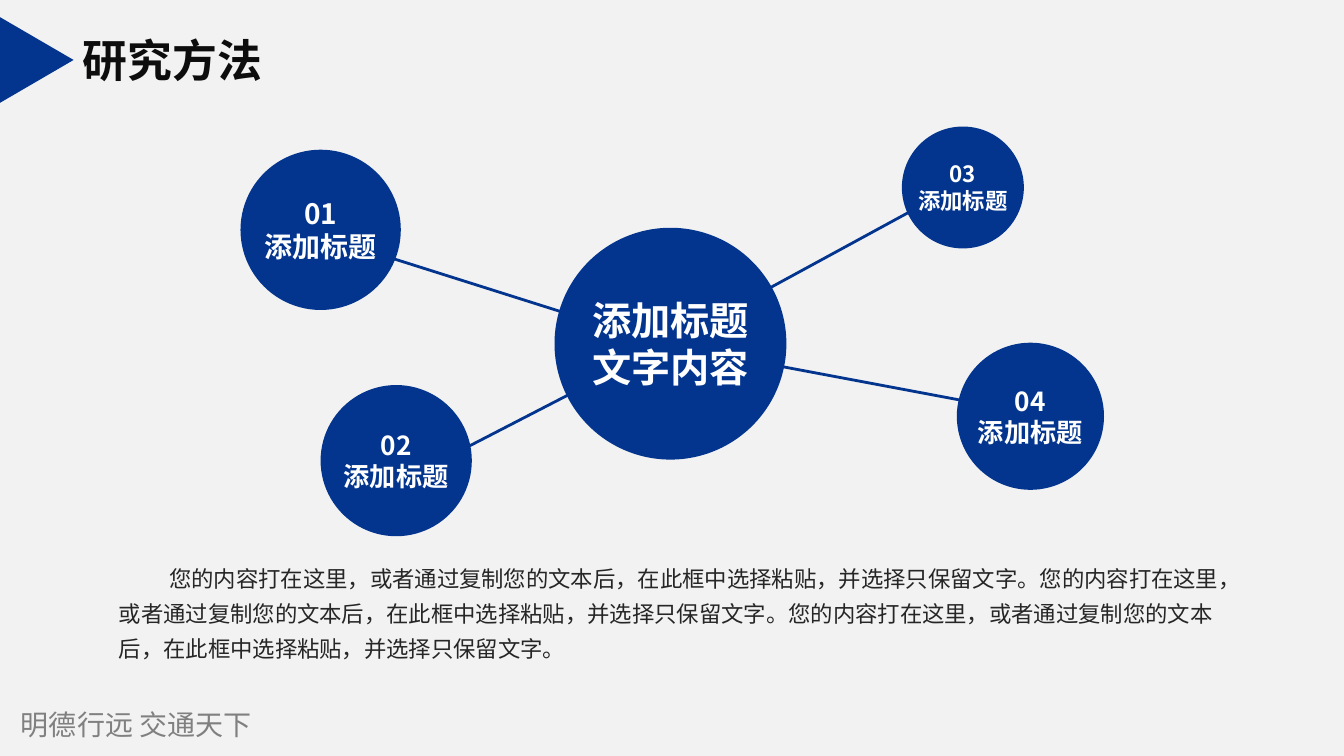
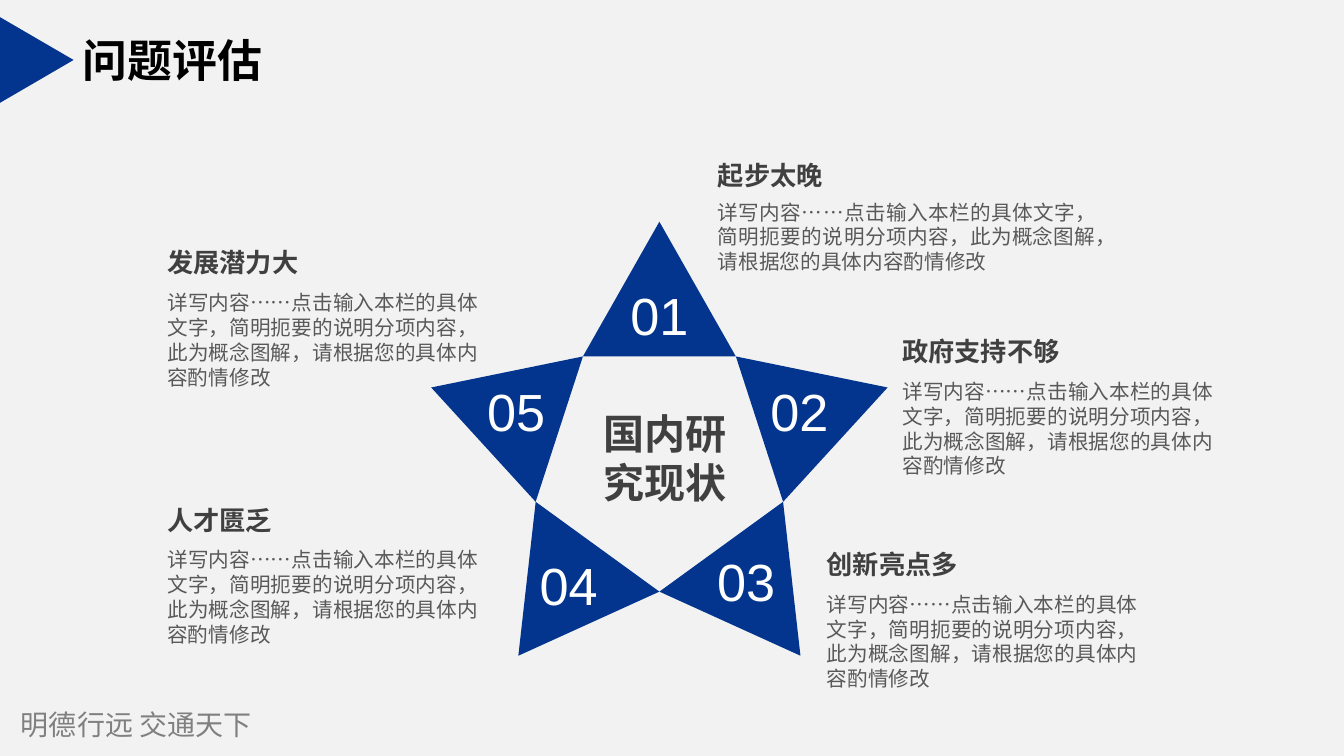
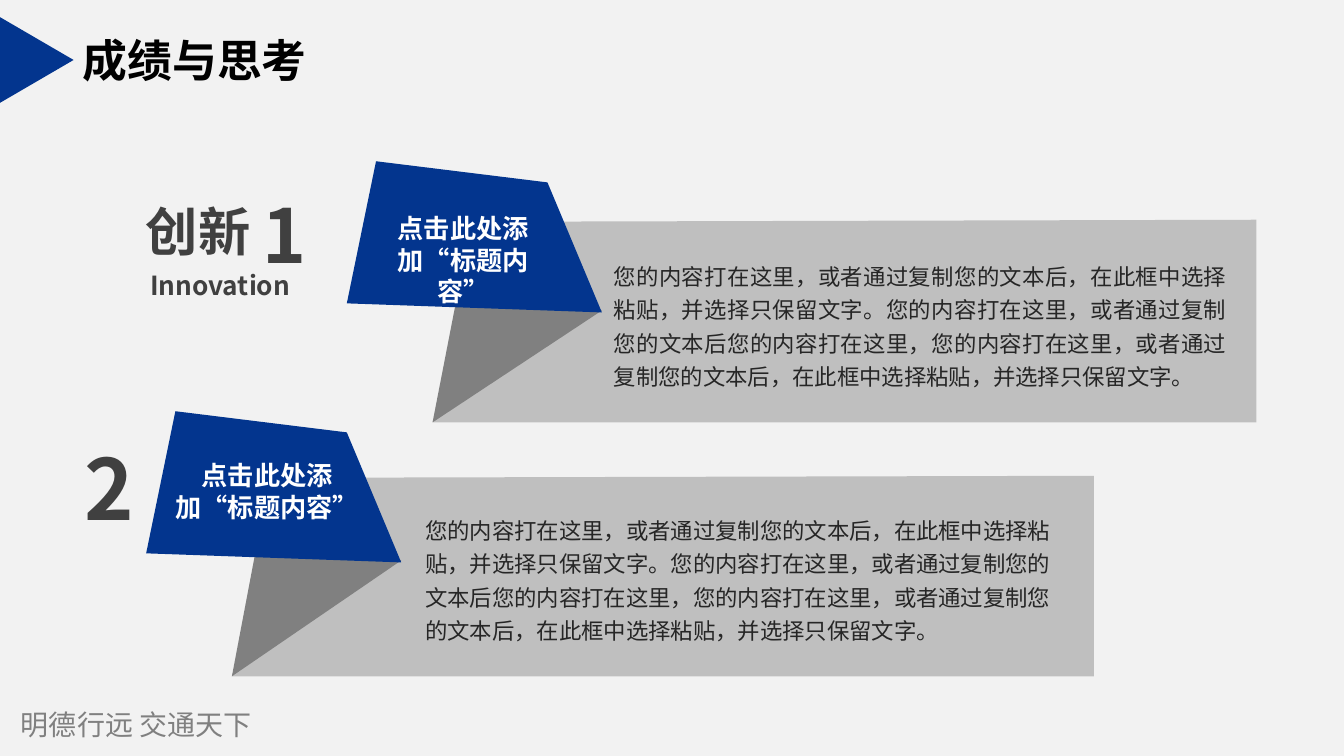
"""Build three research slides: methods, problem review, results."""
import math
from dataclasses import dataclass

import pptx
import pptx.dml.color
import pptx.enum.lang
import pptx.enum.shapes
import pptx.enum.text
import pptx.oxml.ns
import pptx.util
from lxml import etree

Inches = pptx.util.Inches
ALIGN = pptx.enum.text.PP_ALIGN
ANCHOR = pptx.enum.text.MSO_ANCHOR
SHAPE = pptx.enum.shapes.MSO_SHAPE


@dataclass(frozen=True)
class Theme:
    paper: str = "F2F2F2"
    blue: str = "03358E"
    white: str = "FFFFFF"
    black: str = "000000"
    near_black: str = "0D0D0D"
    body_ink: str = "262626"
    heading_ink: str = "404040"
    note_ink: str = "595959"
    gray: str = "808080"
    silver: str = "BFBFBF"
    font: str = "Noto Sans CJK SC"
    footer_font: str = "Noto Sans CJK JP"
    latin_font: str = "Arial"
    title: float = 32
    footer: float = 20
    body: float = 16
    note: float = 14.7
    heading: float = 18.7
    hub: float = 28
    star_center: float = 29.3
    large: float = 37.3


THEME = Theme()

FOOTER = "明德行远 交通天下"
SENTENCE = "您的内容打在这里，或者通过复制您的文本后，在此框中选择粘贴，并选择只保留文字。"

HUB = dict(center=(6.65, 3.41), size=2.3, text="添加标题\n文字内容", points=THEME.hub)
HUB_JOINT = (6.6, 3.42)
SATELLITES = [
    dict(number="01", center=(3.18, 2.28), size=1.59, points=20, joint=(3.66, 2.49)),
    dict(number="02", center=(3.93, 4.57), size=1.5, points=18.7, joint=(4.49, 4.51)),
    dict(number="03", center=(9.55, 1.86), size=1.21, points=16, joint=(9.32, 1.94)),
    dict(number="04", center=(10.22, 4.13), size=1.46, points=18.7, joint=(10.22, 4.1)),
]

STAR_CENTER = (6.54, 4.58)
TIP_RADIUS, NOTCH_RADIUS = 2.38, 1.29
STAR_TEXT = "国内研究现状"
NOTE = "详写内容……点击输入本栏的具体文字，简明扼要的说明分项内容，此为概念图解，请根据您的具体内容酌情修改"
REVIEW = [
    dict(heading="起步太晚", number_at=(6.54, 3.12), left=7.12, top=1.58, note_top=1.98, width=3.75),
    dict(heading="政府支持不够", number_at=(7.93, 4.07), left=8.95, top=3.33, note_top=3.76, width=3.08),
    dict(heading="创新亮点多", number_at=(7.4, 5.76), left=8.2, top=5.44, note_top=5.87, width=3.08),
    dict(heading="人才匮乏", number_at=(5.64, 5.8), left=1.66, top=5, note_top=5.43, width=3.08),
    dict(heading="发展潜力大", number_at=(5.12, 4.07), left=1.66, top=2.44, note_top=2.88, width=3.08),
]

BANNER_TITLE = "点击此处添加“标题内容”"
BANNER_TEXT = (
    "您的内容打在这里，或者通过复制您的文本后，在此框中选择粘贴，并选择只保留文字。"
    "您的内容打在这里，或者通过复制您的文本后您的内容打在这里，您的内容打在这里，"
    "或者通过复制您的文本后，在此框中选择粘贴，并选择只保留文字。"
)
RIBBON = [(0.29, 0), (1.99, 0.21), (2.53, 1.5), (0, 1.41)]
FOLD_TOP = [(2.53, 1.48), (1.14, 1.1)]
FOLD_FOOT, PANEL_HEAD = 0.85, 1.49
BANNERS = [
    dict(origin=(3.44, 1.6), top=2.18, right=12.46, bottom=4.19,
         title_box=(3.63, 2.06, 1.93, 0.73), text_box=(5.99, 2.49, 6.28, 1.42), align=ALIGN.JUSTIFY),
    dict(origin=(1.45, 4.08), top=4.72, right=10.85, bottom=6.71,
         title_box=(1.63, 4.51, 2.04, 0.73), text_box=(4.12, 5.01, 6.43, 1.42), align=ALIGN.LEFT),
]
BANNER_LABELS = [
    ("Innovation", (1.39, 2.62, 1.8, 0.42), THEME.heading),
    ("创新", (1.35, 1.93, 1.4, 0.73), THEME.large),
    ("1", (2.51, 1.83, 0.66, 1), 53.3),
    ("2", (0.74, 4.28, 0.72, 1.11), 60),
]


def rgb(color):
    return pptx.dml.color.RGBColor.from_string(color)


def write(shape, text, size, color, bold=False, align=ALIGN.LEFT, font=THEME.font,
          asian=THEME.font, spacing=None, inset=None, anchor=ANCHOR.TOP, wrap=True, indent=0):
    frame = shape.text_frame
    frame.text = text
    frame.word_wrap = wrap
    frame.auto_size = pptx.enum.text.MSO_AUTO_SIZE.NONE
    frame.vertical_anchor = anchor
    if inset is not None:
        frame.margin_left = frame.margin_right = Inches(inset[0])
        frame.margin_top = frame.margin_bottom = Inches(inset[1])
    for para in frame.paragraphs:
        para.alignment = align
        if spacing:
            para.line_spacing = spacing
        if indent:
            para._p.get_or_add_pPr().set("indent", str(Inches(indent)))
        for span in para.runs:
            span.font.name = font
            span.font.size = pptx.util.Pt(size)
            span.font.bold = bold
            span.font.color.rgb = rgb(color)
            span.font.language_id = pptx.enum.lang.MSO_LANGUAGE_ID.SIMPLIFIED_CHINESE
            east = etree.SubElement(span._r.get_or_add_rPr(), pptx.oxml.ns.qn("a:ea"))
            east.set("typeface", asian)


def add_text(page, place, text, size, color, **style):
    box = page.shapes.add_textbox(*map(Inches, place))
    write(box, text, size, color, **style)
    return box


def paint(shape, color):
    shape.fill.solid()
    shape.fill.fore_color.rgb = rgb(color)
    shape.line.fill.background()
    shape.shadow.inherit = False
    return shape


def add_polygon(page, points, color):
    start, *rest = [(Inches(x), Inches(y)) for x, y in points]
    builder = page.shapes.build_freeform(*start)
    builder.add_line_segments(rest, close=True)
    return paint(builder.convert_to_shape(), color)


def add_line(page, start, end):
    line = page.shapes.add_connector(
        pptx.enum.shapes.MSO_CONNECTOR.STRAIGHT, *map(Inches, start + end))
    line.line.color.rgb = rgb(THEME.blue)
    line.line.width = pptx.util.Pt(2)
    etree.SubElement(line.element.spPr, pptx.oxml.ns.qn("a:effectLst"))


def add_circle(page, center, size, text, points):
    left, top = (middle - size / 2 for middle in center)
    circle = page.shapes.add_shape(SHAPE.OVAL, *map(Inches, (left, top, size, size)))
    paint(circle, THEME.blue)
    write(circle, text, points, THEME.white, bold=True, align=ALIGN.CENTER,
          inset=(0, 0), anchor=ANCHOR.MIDDLE, wrap=False)


def prepare_layout(deck, page):
    layout = page.slide_layout
    background = deck.slide_master.background.fill
    background.solid()
    background.fore_color.rgb = rgb(THEME.paper)
    title = layout.placeholders[0]
    title.left, title.top, title.width, title.height = map(Inches, (0.69, 0.26, 8, 0.67))
    footer = add_text(page, (0.11, 6.97, 3.94, 0.44), FOOTER, THEME.footer, THEME.gray,
                      font=THEME.footer_font, asian=THEME.footer_font)
    marker = page.shapes.add_shape(
        SHAPE.ISOSCELES_TRIANGLE, *map(Inches, (-0.06, 0.23, 0.85, 0.73)))
    marker.rotation = 90
    paint(marker, THEME.blue)
    for shape in (footer, marker):
        layout.shapes.element.append(shape.element)


def set_title(page, text, color=THEME.black):
    write(page.shapes.title, text, THEME.title, color, bold=True, font=THEME.latin_font,
          inset=(0.13, 0.07), anchor=ANCHOR.MIDDLE)


def build_methods(page):
    set_title(page, "研究方法", THEME.near_black)
    for item in SATELLITES:
        add_line(page, item["joint"], HUB_JOINT)
    add_text(page, (1.08, 5.48, 11.13, 1.12), SENTENCE * 3, THEME.body, THEME.body_ink,
             spacing=1.3, indent=0.5)
    add_circle(page, **HUB)
    for item in SATELLITES:
        add_circle(page, item["center"], item["size"], item["number"] + "\n添加标题", item["points"])


def star_point(radius, degrees):
    angle = math.radians(degrees)
    return (STAR_CENTER[0] + radius * math.sin(angle), STAR_CENTER[1] - radius * math.cos(angle))


def build_review(page):
    set_title(page, "问题评估")
    flush = dict(inset=(0, 0))
    for index, item in enumerate(REVIEW):
        turn = index * 72
        add_polygon(page, [star_point(NOTCH_RADIUS, turn - 36), star_point(TIP_RADIUS, turn),
                           star_point(NOTCH_RADIUS, turn + 36)], THEME.blue)
    for index, item in enumerate(REVIEW, 1):
        x, y = item["number_at"]
        add_text(page, (x - 0.4, y - 0.31, 0.8, 0.63), f"{index:02d}", THEME.large, THEME.white,
                 font=THEME.latin_font, align=ALIGN.CENTER, **flush)
        add_text(page, (item["left"], item["top"], 1.84, 0.31), item["heading"],
                 THEME.heading, THEME.heading_ink, bold=True, **flush)
        add_text(page, (item["left"], item["note_top"], item["width"], 0.99), NOTE,
                 THEME.note, THEME.note_ink, align=ALIGN.JUSTIFY, **flush)
    add_text(page, (5.97, 4.05, 1.26, 0.99), STAR_TEXT, THEME.star_center, THEME.heading_ink,
             bold=True, align=ALIGN.CENTER, **flush)


def add_banner(page, origin, top, right, bottom, title_box, text_box, align):
    def moved(points):
        return [(origin[0] + x, origin[1] + y) for x, y in points]

    foot = (origin[0] + FOLD_FOOT, bottom)
    head = (origin[0] + PANEL_HEAD, top + 0.02)
    add_polygon(page, [head, (right, top), (right, bottom), foot], THEME.silver)
    add_polygon(page, moved(FOLD_TOP) + [foot], THEME.gray)
    add_polygon(page, moved(RIBBON), THEME.blue)
    add_text(page, title_box, BANNER_TITLE, THEME.heading, THEME.white,
             bold=True, align=ALIGN.CENTER)
    add_text(page, text_box, BANNER_TEXT, THEME.body, THEME.body_ink, align=align, spacing=1.25)


def build_results(page):
    set_title(page, "成绩与思考")
    for banner in BANNERS:
        add_banner(page, **banner)
    for text, place, size in BANNER_LABELS:
        add_text(page, place, text, size, THEME.heading_ink, bold=True)


def main():
    deck = pptx.Presentation()
    deck.slide_width, deck.slide_height = Inches(13.33), Inches(7.5)
    layout = deck.slide_layouts[5]
    pages = [deck.slides.add_slide(layout) for _ in range(3)]
    prepare_layout(deck, pages[0])
    for build, page in zip((build_methods, build_review, build_results), pages):
        build(page)
    deck.save("out.pptx")


if __name__ == "__main__":
    main()
